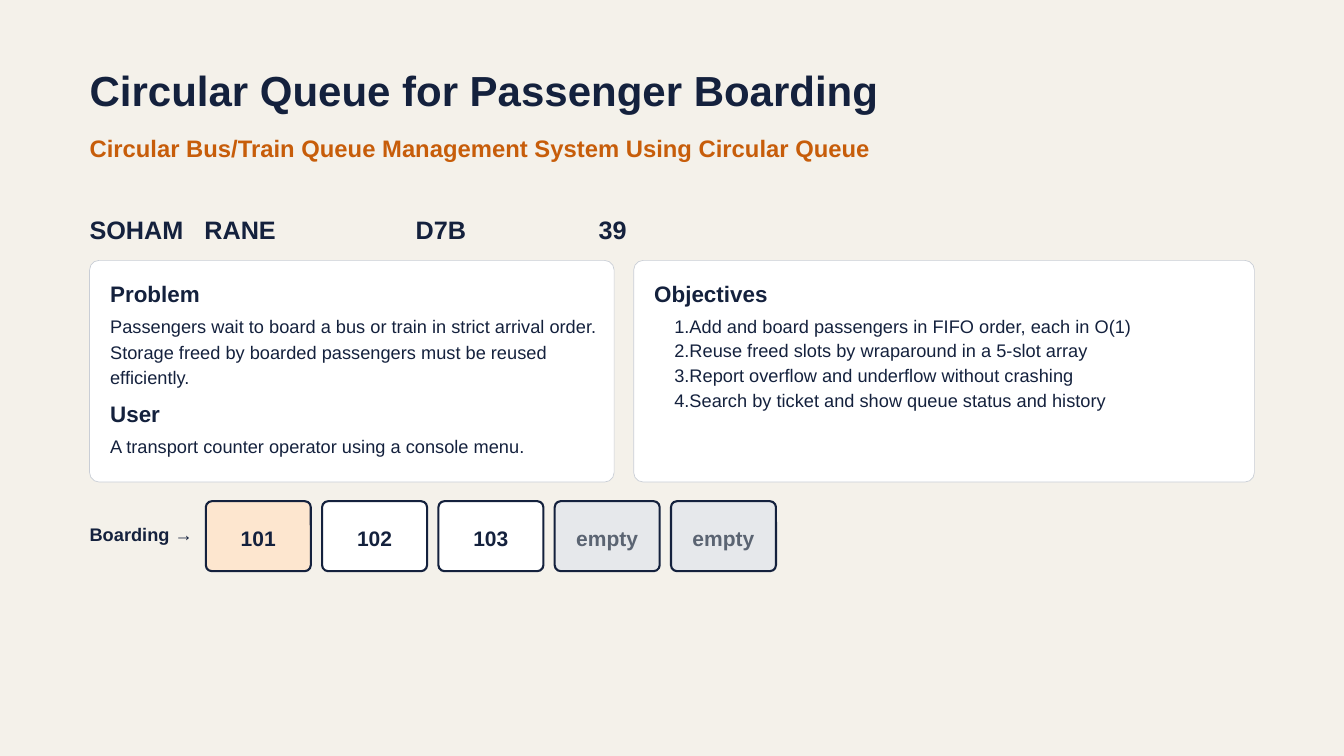
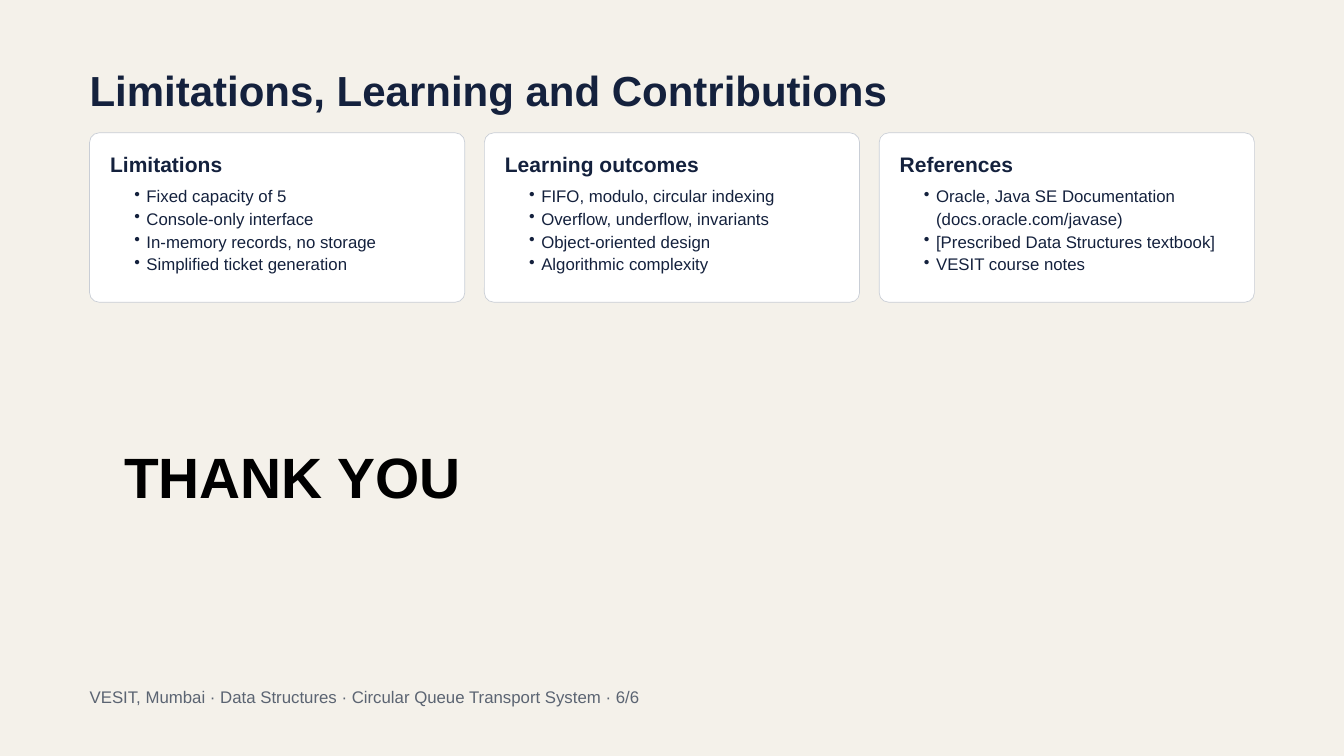
"""Build two slides on a circular queue for passenger boarding."""
from lxml import etree
from pptx import Presentation
from pptx.dml.color import RGBColor
from pptx.enum.shapes import MSO_SHAPE
from pptx.enum.text import MSO_ANCHOR, MSO_AUTO_SIZE, PP_ALIGN
from pptx.oxml.ns import qn
from pptx.util import Pt

LEFT, CENTER = PP_ALIGN.LEFT, PP_ALIGN.CENTER
TOP, MIDDLE = MSO_ANCHOR.TOP, MSO_ANCHOR.MIDDLE
ROUNDED = MSO_SHAPE.ROUNDED_RECTANGLE
NO_FIT = MSO_AUTO_SIZE.NONE

FONT = "Arial"
COLORS = {
    "paper": "F4F1EA", "navy": "14213D", "orange": "C75D0A", "white": "FFFFFF",
    "border": "C9CED6", "peach": "FDE6CF", "mist": "E6E8EB", "slate": "5B6472",
    "black": "000000",
}
MARGIN, CONTENT_W, GAP = 96, 1248, 21
PAD = 22

QUEUE_TITLE = "Circular Queue for Passenger Boarding"
SUBTITLE = "Circular Bus/Train Queue Management System Using Circular Queue"
STUDENT = ["SOHAM", "RANE", "D7B", "39"]
STUDENT_TABS = [123, 349.3, 545.4]
BRIEF = [
    ("Problem", "Passengers wait to board a bus or train in strict arrival order. "
     "Storage freed by boarded passengers must be reused efficiently."),
    ("User", "A transport counter operator using a console menu."),
]
OBJECTIVES = [
    "Add and board passengers in FIFO order, each in O(1)",
    "Reuse freed slots by wraparound in a 5-slot array",
    "Report overflow and underflow without crashing",
    "Search by ticket and show queue status and history",
]
SLOTS = [("101", "peach", "navy"), ("102", "white", "navy"), ("103", "white", "navy"),
         ("empty", "mist", "slate"), ("empty", "mist", "slate")]

CLOSING_TITLE = "Limitations, Learning and Contributions"
CLOSING_CARDS = [
    ("Limitations", ["Fixed capacity of 5", "Console-only interface",
                     "In-memory records, no storage", "Simplified ticket generation"]),
    ("Learning outcomes", ["FIFO, modulo, circular indexing",
                           "Overflow, underflow, invariants",
                           "Object-oriented design", "Algorithmic complexity"]),
    ("References", ["Oracle, Java SE Documentation (docs.oracle.com/javase)",
                    "[Prescribed Data Structures textbook]", "VESIT course notes"]),
]
THANKS = "THANK YOU"
FOOTER = "VESIT, Mumbai · Data Structures · Circular Queue Transport System · 6/6"


def rgb(name):
    return RGBColor.from_string(COLORS[name])


def write(sp, text, size=18, color="navy", bold=False, align=LEFT, anchor=TOP,
          leading=None, inset=0, indent=0, bullet=None, tabs=()):
    """Fill a shape with one paragraph, or one per item of a list."""
    tf = sp.text_frame
    tf.word_wrap, tf.auto_size, tf.vertical_anchor = True, NO_FIT, anchor
    tf.margin_left = tf.margin_right = tf.margin_top = tf.margin_bottom = Pt(inset)
    lines = [text] if isinstance(text, str) else text
    for i, line in enumerate(lines):
        p = tf.paragraphs[0] if i == 0 else tf.add_paragraph()
        p.alignment = align
        p.line_spacing = Pt(leading or size * 1.4)
        pPr = p._p.get_or_add_pPr()
        if bullet:
            pPr.set("marL", str(Pt(indent)))
            pPr.set("indent", str(-Pt(indent / 2)))
            if bullet == "number":
                etree.SubElement(pPr, qn("a:buAutoNum"), type="arabicPeriod")
            else:
                etree.SubElement(pPr, qn("a:buChar"), char=bullet)
        if tabs:
            tab_list = etree.SubElement(pPr, qn("a:tabLst"))
            for pos in tabs:
                etree.SubElement(tab_list, qn("a:tab"), pos=str(Pt(pos)), algn="l")
        r = p.add_run()
        r.text = line
        r.font.name, r.font.size, r.font.bold = FONT, Pt(size), bold
        r.font.color.rgb = rgb(color)


def add_text(slide, text, x, y, w, h, **fmt):
    write(slide.shapes.add_textbox(Pt(x), Pt(y), Pt(w), Pt(h)), text, **fmt)


def add_box(slide, x, y, w, h, fill="white", line="border", weight=0.75, radius=10.2):
    sp = slide.shapes.add_shape(ROUNDED, Pt(x), Pt(y), Pt(w), Pt(h))
    sp.adjustments[0] = radius / min(w, h)
    sp.shadow.inherit = False
    sp.fill.solid()
    sp.fill.fore_color.rgb = rgb(fill)
    sp.line.color.rgb = rgb(line)
    sp.line.width = Pt(weight)
    return sp


def add_heading(slide, text, x, y, w, size):
    add_text(slide, text, x, y, w, 32, size=size, bold=True, leading=size * 1.2)


def new_slide(prs, title):
    slide = prs.slides.add_slide(prs.slide_layouts[5])
    sp = slide.shapes.title
    sp.left, sp.top, sp.width, sp.height = Pt(MARGIN), Pt(73.5), Pt(1285), Pt(51)
    write(sp, title, size=45, bold=True, leading=49.5)
    return slide


def build_queue(prs):
    slide = new_slide(prs, QUEUE_TITLE)
    add_text(slide, SUBTITLE, MARGIN, 138, 1285, 43, size=25.5, color="orange", bold=True)
    add_text(slide, "\t".join(STUDENT), MARGIN, 224.5, 1285, 38, size=27, bold=True,
             tabs=STUDENT_TABS)

    card_y, card_h, brief_w = 279, 237.5, 562
    add_box(slide, MARGIN, card_y, brief_w, card_h)
    for i, (heading, body) in enumerate(BRIEF):
        y = card_y + 21 + i * 128.5
        add_heading(slide, heading, MARGIN + PAD, y, 534, 24)
        add_text(slide, body, MARGIN + PAD, y + 34.3, 534, 89 - 54 * i, size=19.5)

    x = MARGIN + brief_w + GAP
    add_box(slide, x, card_y, MARGIN + CONTENT_W - x, card_h)
    add_heading(slide, "Objectives", x + PAD, card_y + 21, 640, 24)
    add_text(slide, OBJECTIVES, x + 29.5, card_y + 55.8, 631, 112, size=19.5,
             leading=26.3, indent=28, bullet="number")

    add_text(slide, "Boarding →", MARGIN, 556.5, 119, 35, size=19.5, bold=True)
    slot_w, slot_gap = 112.5, 12.1
    for i, (label, fill, color) in enumerate(SLOTS):
        sp = add_box(slide, 220.5 + i * (slot_w + slot_gap), 537, slot_w, 75,
                     fill=fill, line="navy", weight=2.25, radius=6.5)
        write(sp, label, size=22.5, color=color, bold=True, align=CENTER,
              anchor=MIDDLE, inset=4.5)


def build_closing(prs):
    slide = new_slide(prs, CLOSING_TITLE)
    n = len(CLOSING_CARDS)
    card_y, card_w = 142.3, (CONTENT_W - (n - 1) * GAP) / n
    for i, (heading, items) in enumerate(CLOSING_CARDS):
        x = MARGIN + i * (card_w + GAP)
        add_box(slide, x, card_y, card_w, 181.5)
        add_heading(slide, heading, x + PAD, card_y + 20.5, 369, 22.5)
        add_text(slide, items, x + 35, card_y + 54.3, 355, 108, size=18,
                 leading=24.3, indent=26, bullet="•")
    add_text(slide, FOOTER, MARGIN, 732, 1081, 32, color="slate")
    add_text(slide, THANKS, 132, 461, 363, 84, size=60.9, color="black", bold=True,
             align=CENTER)


def main():
    prs = Presentation()
    prs.slide_width, prs.slide_height = Pt(1440), Pt(810)
    fill = prs.slide_master.background.fill
    fill.solid()
    fill.fore_color.rgb = rgb("paper")
    build_queue(prs)
    build_closing(prs)
    prs.save("out.pptx")


if __name__ == "__main__":
    main()
